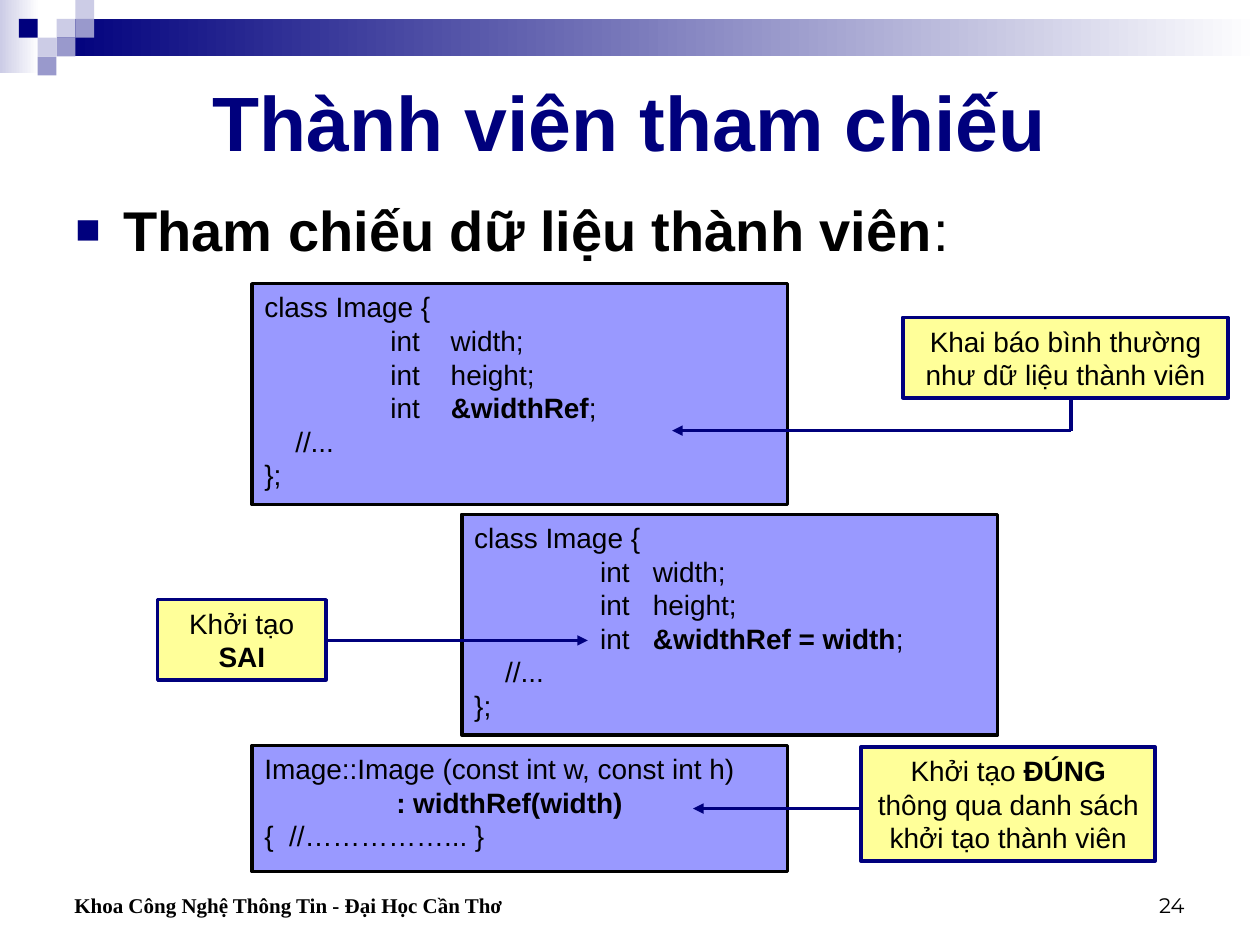
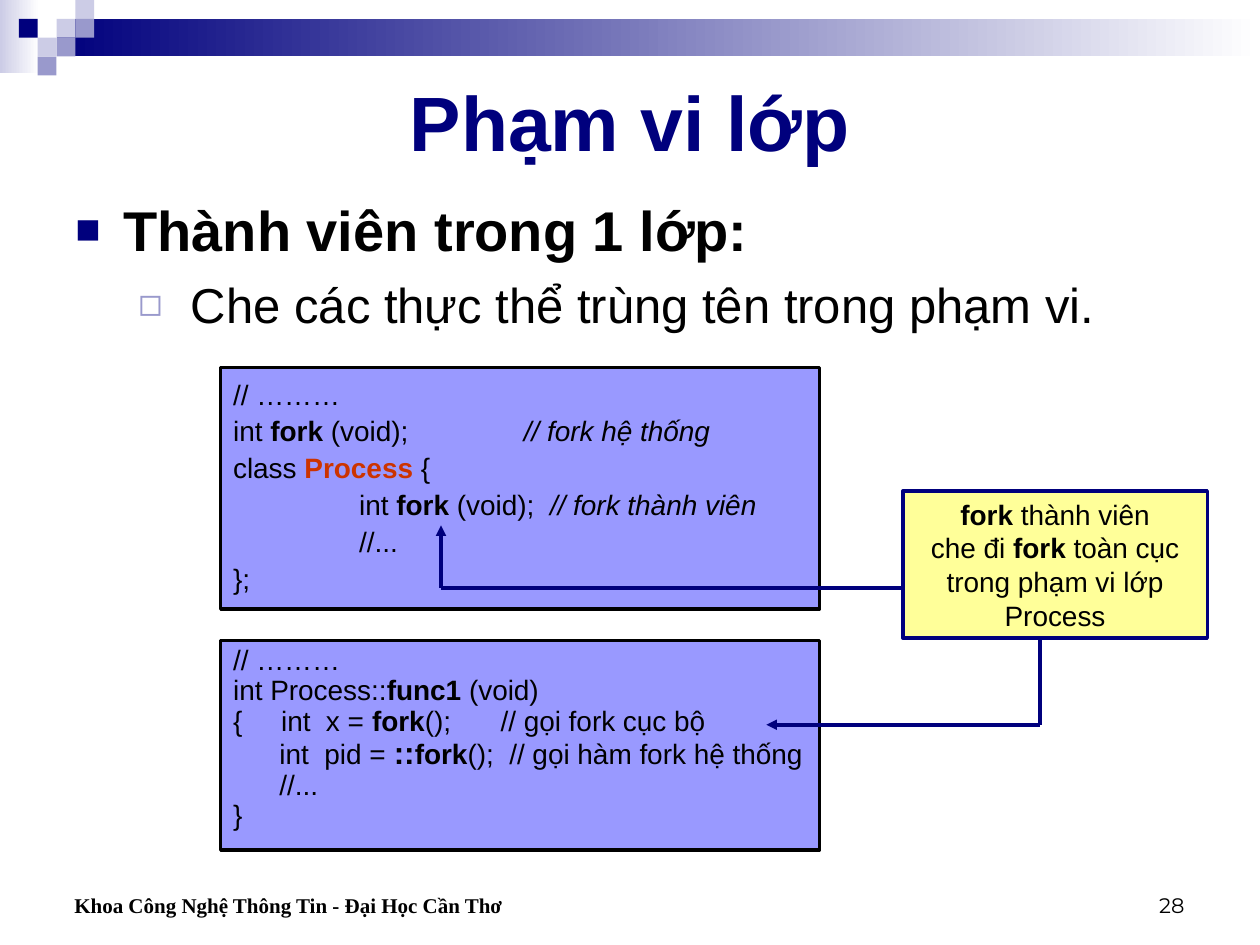
from lxml import etree
from pptx import Presentation
from pptx.dml.color import RGBColor
from pptx.enum.shapes import MSO_CONNECTOR as Link, MSO_SHAPE as Shape
from pptx.enum.text import MSO_ANCHOR as Anchor, PP_ALIGN as Align
from pptx.oxml.ns import qn
from pptx.util import Cm, Pt

NAVY, LAVENDER, PALE = "00007D", "9999CC", "CCCCE6"
CODE_FILL, NOTE_FILL = "9999FF", "FFFF99"
BLACK, WHITE, RED = "000000", "FFFFFF", "CC3300"
FOOTER = "Khoa Công Nghệ Thông Tin - Đại Học Cần Thơ"
CELL = 0.38  # side of a corner square, in cm
SQUARES = [(3, 1, PALE), (4, 0, PALE), (4, 1, LAVENDER), (2, 2, PALE),
           (1, 1, NAVY), (3, 2, LAVENDER), (2, 3, LAVENDER)]
# Body levels: glyph, glyph colour, glyph size, left margin, hanging, text size, bold
LEVELS = [("■", NAVY, 75, 0.97, 0.97, 32, True),
          ("◻", LAVENDER, 80, 2.33, 1.06, 28, False)]


def rgb(value):
    return RGBColor.from_string(value)


# Marked pieces of a line
def bold(text, size=None):
    return text, {"bold": True, "size": size}


def regular(text):
    return text, {"bold": False}


def italic(text):
    return text, {"italic": True}


def accent(text):
    return text, {"bold": True, "color": RED}


def child(parent, tag, **attributes):
    return etree.SubElement(parent, qn(tag), attributes)


class Deck:
    def __init__(self):
        self.prs = Presentation()
        self.prs.slide_width, self.prs.slide_height = Cm(25.4), Cm(19.05)
        self.slide = None

    def new_slide(self, title, number):
        self.slide = self.prs.slides.add_slide(self.prs.slide_layouts[6])
        # Corner decoration and top band
        self.fade(0, 0, 0.79, 1.47, PALE)
        self.fade(3 * CELL, CELL, 25.4 - 3 * CELL, 2 * CELL, NAVY)
        for column, row, color in SQUARES:
            self.box(column * CELL, row * CELL, CELL, CELL, color)
        # Title and footer
        self.text((1.27, 1.27, 22.86, 2.33), title, 44, Anchor.MIDDLE,
                  align=Align.CENTER, color=NAVY, strong=True)
        footer = self.text((0.64, 17.36, 12.27, 1.27), FOOTER, 12, Anchor.BOTTOM,
                           face="Times New Roman", strong=True)
        footer.margin_left = Cm(0.86)
        self.text((18.2, 17.36, 5.93, 1.27), number, 12, Anchor.BOTTOM,
                  align=Align.RIGHT, face="Montserrat")

    def box(self, left, top, width, height, fill=None, line=None):
        box = self.slide.shapes.add_shape(
            Shape.RECTANGLE, Cm(left), Cm(top), Cm(width), Cm(height))
        box.shadow.inherit = False
        if fill:
            box.fill.solid()
            box.fill.fore_color.rgb = rgb(fill)
        if line:
            box.line.color.rgb = rgb(line)
            box.line.width = Pt(2)
        else:
            box.line.fill.background()
        return box

    def fade(self, left, top, width, height, color):
        fill = self.box(left, top, width, height).fill
        fill.gradient()
        fill.gradient_angle = 0
        for stop, shade in zip(fill.gradient_stops, (color, WHITE)):
            stop.color.rgb = rgb(shade)

    def style(self, paragraph, size, color=BLACK, face="Arial", strong=False):
        font = paragraph.font
        font.name, font.size, font.bold = face, Pt(size), strong
        font.color.rgb = rgb(color)

    def add_runs(self, paragraph, pieces):
        """Adds runs; a piece is plain text or a (text, marks) pair."""
        for piece in [pieces] if isinstance(pieces, str) else pieces:
            text, marks = (piece, {}) if isinstance(piece, str) else piece
            run = paragraph.add_run()
            run.text = text
            run.font.bold = marks.get("bold")
            run.font.italic = marks.get("italic")
            if marks.get("size"):
                run.font.size = Pt(marks["size"])
            if marks.get("color"):
                run.font.color.rgb = rgb(marks["color"])

    def paragraphs(self, frame, lines):
        for index, pieces in enumerate(lines):
            paragraph = frame.add_paragraph() if index else frame.paragraphs[0]
            self.add_runs(paragraph, pieces)
            yield paragraph

    def frame(self, place, anchor):
        frame = self.slide.shapes.add_textbox(*map(Cm, place)).text_frame
        frame.word_wrap = True
        frame.vertical_anchor = anchor
        return frame

    def text(self, place, words, size, anchor, align=Align.LEFT, **look):
        frame = self.frame(place, anchor)
        for paragraph in self.paragraphs(frame, [words]):
            paragraph.alignment = align
            self.style(paragraph, size, **look)
        return frame

    def body(self, height, *lines):
        frame = self.frame((1.27, 3.81, 22.86, height), Anchor.TOP)
        for level, paragraph in enumerate(self.paragraphs(frame, lines)):
            glyph, color, scale, margin, hanging, size, strong = LEVELS[level]
            if level:
                paragraph.level = level
                paragraph.space_before = Pt(7)
            props = paragraph._p.get_or_add_pPr()
            props.set("marL", str(Cm(margin)))
            props.set("indent", str(-Cm(hanging)))
            child(child(props, "a:buClr"), "a:srgbClr", val=color)
            child(props, "a:buSzPct", val=str(scale * 1000))
            child(props, "a:buFont", typeface="Arial")
            child(props, "a:buChar", char=glyph)
            self.style(paragraph, size, strong=strong)

    def code(self, place, *lines, spacing=1.0):
        frame = self.box(*place, CODE_FILL, BLACK).text_frame
        frame.word_wrap = False
        frame.vertical_anchor = Anchor.TOP
        for paragraph in self.paragraphs(frame, lines):
            paragraph.alignment = Align.LEFT
            paragraph.line_spacing = spacing
            stops = child(paragraph._p.get_or_add_pPr(), "a:tabLst")
            for stop in range(1, 8):
                child(stops, "a:tab", pos=str(Cm(2.54 * stop)), algn="l")
            self.style(paragraph, 16)

    def note(self, place, *lines):
        frame = self.box(*place, NOTE_FILL, NAVY).text_frame
        frame.word_wrap = True
        frame.vertical_anchor = Anchor.MIDDLE
        for paragraph in self.paragraphs(frame, lines):
            paragraph.alignment = Align.CENTER
            self.style(paragraph, 16)

    def arrow(self, *points):
        """Joins the points in turn; the last stretch carries the head."""
        for start, end in zip(points, points[1:]):
            link = self.slide.shapes.add_connector(
                Link.STRAIGHT, *map(Cm, start + end))
            link.line.color.rgb = rgb(NAVY)
            link.line.width = Pt(2)
            props = link._element.spPr
            if end == points[-1]:
                child(props.find(qn("a:ln")), "a:tailEnd", type="triangle")
            child(props, "a:effectLst")


def reference_members(deck):
    deck.new_slide("Thành viên tham chiếu", "24")
    deck.body(1.7, ["Tham chiếu dữ liệu thành viên", regular(":")])

    # Declaration, wrong initialisation, right initialisation
    deck.code((5.08, 5.72, 10.8, 4.45),
              "class Image {", "\tint    width;", "\tint    height;",
              ["\tint    ", bold("&widthRef"), ";"], "    //...", "};")
    deck.code((9.31, 10.37, 10.8, 4.45),
              "class Image {", "\tint   width;", "\tint   height;",
              ["\tint   ", bold("&widthRef = width"), ";"], "    //...", "};")
    deck.code((5.08, 15.03, 10.8, 2.54),
              "Image::Image (const int w, const int h)",
              ["                 ", bold(": widthRef(width)")],
              "{  //……………... }")

    # Callouts
    deck.note((18.2, 6.4, 6.56, 1.62),
              "Khai báo bình thường", "như dữ liệu thành viên")
    deck.arrow((21.59, 8.04), (21.59, 8.68), (13.55, 8.68))
    deck.note((3.18, 12.09, 3.39, 1.62), ["Khởi tạo ", bold("SAI")])
    deck.arrow((6.56, 12.91), (11.85, 12.91))
    deck.arrow((17.36, 16.3), (13.97, 16.3))
    deck.note((17.36, 15.06, 5.93, 2.3),
              ["Khởi tạo ", bold("ĐÚNG"),
               " thông qua danh sách khởi tạo thành viên"])


def class_scope(deck):
    deck.new_slide("Phạm vi lớp", "28")
    deck.body(3.39, "Thành viên trong 1 lớp:",
              "Che các thực thể trùng tên trong phạm vi.")

    # Declarations and calls
    deck.code((4.45, 7.41, 12.07, 4.87),
              "// ………",
              ["int ", bold("fork"), " (void);\t     ", italic("// fork hệ thống")],
              ["class ", accent("Process"), " {"],
              ["\tint ", bold("fork"), " (void);  ", italic("// fork thành viên")],
              "\t//...", "};", spacing=1.1)
    deck.code((4.45, 12.91, 12.07, 4.23),
              "// ………",
              ["int Process::", bold("func1"), " (void)"],
              ["{     int  x = ", bold("fork"), "();\t  // gọi fork cục bộ"],
              ["      int  pid = ", bold("::", 18), bold("fork"),
               "();  // gọi hàm fork hệ thống"],
              "      //...", "}", spacing=0.9)

    # Callout
    deck.note((18.2, 9.9, 6.14, 2.96),
              [bold("fork"), " thành viên"],
              ["che đi ", bold("fork"), " toàn cục"],
              "trong phạm vi lớp Process")
    deck.arrow((20.96, 12.91), (20.96, 14.61), (15.45, 14.61))
    deck.arrow((18.2, 11.85), (8.89, 11.85), (8.89, 10.59))


def main():
    deck = Deck()
    reference_members(deck)
    class_scope(deck)
    deck.prs.save("out.pptx")


if __name__ == "__main__":
    main()
